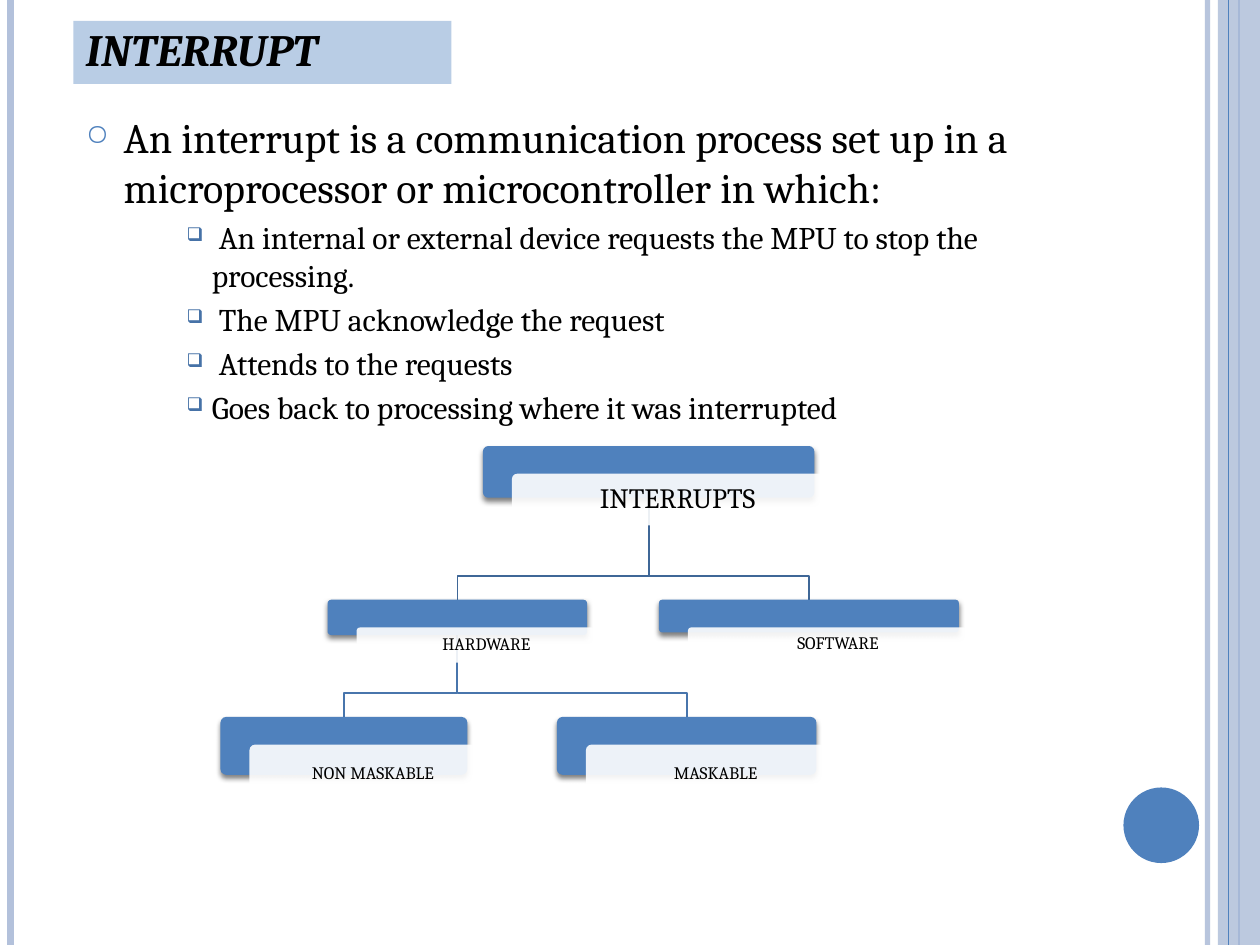
import dataclasses

import pptx
import pptx.dml.color
import pptx.enum.shapes
import pptx.enum.text
import pptx.oxml
import pptx.oxml.ns
import pptx.util

SHAPE = pptx.enum.shapes.MSO_SHAPE
ALIGN = pptx.enum.text.PP_ALIGN
ANCHOR = pptx.enum.text.MSO_ANCHOR
CELLS_PER_INCH = 12  # grid of 120 columns by 90 rows
COLS, ROWS = 120, 90


@dataclasses.dataclass(frozen=True)
class Theme:
    font: str = "Cambria"
    text: str = "000000"
    accent: str = "4F81BD"
    stripe: str = "B3C1DB"
    title_fill: str = "B9CDE5"
    sub_bullet: str = "4672A7"
    card: str = "FFFFFF"
    branch_1: str = "3F6797"
    branch_2: str = "4875AC"
    title_size: int = 32
    body_size: int = 24
    sub_size: int = 18
    root_size: int = 16
    node_size: int = 10


THEME = Theme()


def grid(n):
    return pptx.util.Inches(n / CELLS_PER_INCH)


def rgb(color):
    return pptx.dml.color.RGBColor.from_string(color)


def add_xml(parent, tag, **attrs):
    el = pptx.oxml.parse_xml("<a:%s %s/>" % (tag, pptx.oxml.ns.nsdecls("a")))
    for name, value in attrs.items():
        el.set(name, str(value))
    parent.append(el)
    return el


def set_alpha(parent, percent):
    for clr in parent.iter(pptx.oxml.ns.qn("a:srgbClr")):
        add_xml(clr, "alpha", val=percent * 1000)


def add_box(slide, kind, x, y, w, h, fill, alpha=100, shadow=False):
    sp = slide.shapes.add_shape(kind, grid(x), grid(y), grid(w), grid(h))
    sp.fill.solid()
    sp.fill.fore_color.rgb = rgb(fill)
    sp.line.fill.background()
    sp.shadow.inherit = False
    spPr = sp._element.spPr
    if alpha < 100:
        set_alpha(spPr, alpha)
    if shadow:
        effects = spPr.find(pptx.oxml.ns.qn("a:effectLst"))
        outer = add_xml(effects, "outerShdw", blurRad=pptx.util.Pt(3),
                        dist=pptx.util.Pt(2), dir=90 * 60000, rotWithShape=0)
        add_xml(outer, "srgbClr", val=THEME.text)
        set_alpha(outer, 50)
    return sp


def add_rule(slide, col, color, width, alpha=100):
    line = slide.shapes.add_connector(pptx.enum.shapes.MSO_CONNECTOR.STRAIGHT,
                                      grid(col), 0, grid(col), grid(ROWS))
    line.line.color.rgb = rgb(color)
    line.line.width = pptx.util.Pt(width)
    spPr = line._element.spPr
    if alpha < 100:
        set_alpha(spPr, alpha)
    add_xml(spPr, "effectLst")


def set_frame(sp, anchor, inset=(0.1, 0.05)):
    tf = sp.text_frame
    tf.word_wrap = True
    tf.vertical_anchor = anchor
    tf.margin_left = tf.margin_right = pptx.util.Inches(inset[0])
    tf.margin_top = tf.margin_bottom = pptx.util.Inches(inset[1])
    return tf


def add_text(tf, text, size, align=ALIGN.LEFT, bold=False, italic=False,
             small_caps=False, before=0, spacing=None, indent=None, bullet=None):
    """Fill the first paragraph, or append one; bullet is (char, color, percent)."""
    p = tf.paragraphs[0] if not tf.text else tf.add_paragraph()
    p.alignment = align
    p.space_before = pptx.util.Pt(before)
    if spacing:
        p.line_spacing = spacing
    pPr = p._p.get_or_add_pPr()
    if indent:
        pPr.set("marL", str(pptx.util.Inches(indent[0])))
        pPr.set("indent", str(pptx.util.Inches(indent[1])))
    if bullet:
        char, color, percent = bullet
        add_xml(add_xml(pPr, "buClr"), "srgbClr", val=color)
        add_xml(pPr, "buSzPct", val=percent * 1000)
        add_xml(pPr, "buChar", char=char)
    r = p.add_run()
    r.text = text
    r.font.name = THEME.font
    r.font.size = pptx.util.Pt(size)
    r.font.bold, r.font.italic = bold, italic
    r.font.color.rgb = rgb(THEME.text)
    if small_caps:
        r._r.get_or_add_rPr().set("cap", "small")


def add_branch(slide, parent, child, color):
    """Draw an elbow from the bottom centre of parent to the top centre of child."""
    (px, py, pw, ph), (cx, cy, cw, _) = parent, child
    start, end = px + pw / 2, cx + cw / 2
    bend = cy - 2.28
    points = [(start, bend), (end, bend), (end, cy)]
    builder = slide.shapes.build_freeform(grid(start), grid(py + ph))
    builder.add_line_segments([(grid(x), grid(y)) for x, y in points], close=False)
    sp = builder.convert_to_shape()
    sp.fill.background()
    sp.line.color.rgb = rgb(color)
    sp.line.width = pptx.util.Pt(1)
    sp.shadow.inherit = False


def add_node(slide, box, label, size, inset):
    x, y, w, h = box
    back = add_box(slide, SHAPE.ROUNDED_RECTANGLE, x, y, w, h, THEME.accent, shadow=True)
    card = add_box(slide, SHAPE.ROUNDED_RECTANGLE, x + 2.76, y + 2.64, w, h,
                   THEME.card, alpha=90)
    for sp in (back, card):
        sp.adjustments[0] = 0.1
    add_text(set_frame(card, ANCHOR.MIDDLE, (inset, inset)), label, size,
             align=ALIGN.CENTER, spacing=0.9)


def add_side_bands(slide):
    add_rule(slide, 115, THEME.stripe, 3, alpha=93)
    add_rule(slide, 1, THEME.stripe, 4.5)
    add_rule(slide, 118, THEME.accent, 1.5)
    add_box(slide, SHAPE.RECTANGLE, 116, 0, 4, ROWS, THEME.stripe, alpha=87)
    add_rule(slide, 117, THEME.accent, 0.75)
    add_box(slide, SHAPE.OVAL, 107, 75, 7.2, 7.2, THEME.accent)


def add_body(slide):
    sp = slide.shapes.add_textbox(grid(7), grid(10), grid(97), grid(75))
    tf = set_frame(sp, ANCHOR.TOP)
    add_text(tf, "An interrupt is a communication process set up in a "
             "microprocessor or microcontroller in which:", THEME.body_size,
             before=6, indent=(0.3, -0.3), bullet=("\u25cb", THEME.accent, 70))
    for step in (" An internal or external device requests the MPU to stop the processing.",
                 " The MPU acknowledge the request",
                 " Attends to the requests",
                 "Goes back to processing where it was interrupted"):
        add_text(tf, step, THEME.sub_size, before=3.6, indent=(1, -0.2),
                 bullet=("\u2751", THEME.sub_bullet, 60))


def add_tree(slide):
    # Boxes as column, row, width, height
    level_2, level_3 = 57.12, 68.28
    nodes = {
        "INTERRUPTS": (46, 42.48, 31.56, 4.92),
        "HARDWARE": (31.2, level_2, 24.72, 3.36),
        "NON MASKABLE": (21, level_3, 23.52, 5.52),
        "MASKABLE": (53.04, level_3, 24.72, 5.52),
        "SOFTWARE": (62.76, level_2, 28.56, 3.12),
    }
    for parent, child, color in (("INTERRUPTS", "SOFTWARE", THEME.branch_1),
                                 ("HARDWARE", "MASKABLE", THEME.branch_2),
                                 ("HARDWARE", "NON MASKABLE", THEME.branch_2),
                                 ("INTERRUPTS", "HARDWARE", THEME.branch_1)):
        add_branch(slide, nodes[parent], nodes[child], color)
    for label, box in nodes.items():
        is_root = label == "INTERRUPTS"
        add_node(slide, box, label, THEME.root_size if is_root else THEME.node_size,
                 0.07 if is_root else 0.04)


def main():
    prs = pptx.Presentation()
    prs.slide_width, prs.slide_height = grid(COLS), grid(ROWS)
    slide = prs.slides.add_slide(prs.slide_layouts[6])
    add_side_bands(slide)
    # Title
    title = add_box(slide, SHAPE.RECTANGLE, 7, 2, 36, 6, THEME.title_fill)
    add_text(set_frame(title, ANCHOR.BOTTOM), "interrupt", THEME.title_size,
             bold=True, italic=True, small_caps=True)
    # Definition and classification
    add_body(slide)
    add_tree(slide)
    prs.save("out.pptx")


main()
